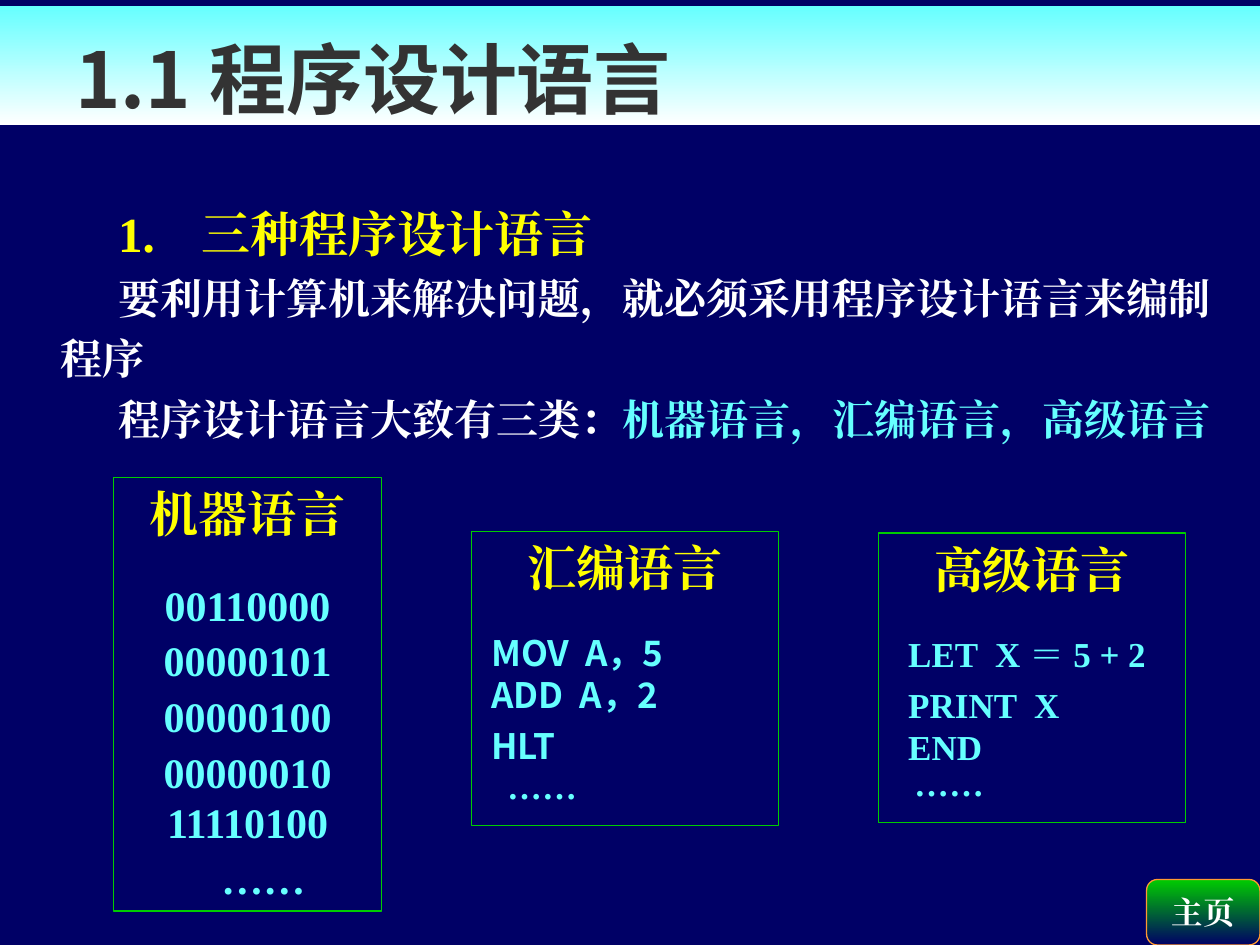
import pptx
import pptx.dml.color
import pptx.enum.shapes
import pptx.enum.text
import pptx.oxml.ns
import pptx.util
from lxml import etree

Inches = pptx.util.Inches
Pt = pptx.util.Pt
RGBColor = pptx.dml.color.RGBColor
Shape = pptx.enum.shapes.MSO_SHAPE
Align = pptx.enum.text.PP_ALIGN
Anchor = pptx.enum.text.MSO_ANCHOR
qn = pptx.oxml.ns.qn

NAVY = RGBColor(0x00, 0x00, 0x66)
GREEN = RGBColor(0x00, 0xCC, 0x00)
ORANGE = RGBColor(0xFF, 0x99, 0x33)
CYAN = RGBColor(0x66, 0xFF, 0xFF)
YELLOW = RGBColor(0xFF, 0xFF, 0x00)
WHITE = RGBColor(0xFF, 0xFF, 0xFF)
CHARCOAL = RGBColor(0x33, 0x33, 0x33)

SERIF = "Times New Roman"
SANS = "Noto Sans CJK SC"
TITLE_FACE = "Noto Sans CJK JP"


class Lesson:
    def __init__(self, deck):
        self.page = deck.slides.add_slide(deck.slide_layouts[6])
        self.page.background.fill.solid()
        self.page.background.fill.fore_color.rgb = NAVY

    def style(self, font, size, color, face=SERIF):
        font.size = Pt(size)
        font.bold = True
        font.color.rgb = color
        font.name = face
        etree.SubElement(font._element, qn("a:ea")).set("typeface", face)

    def indent(self, para, left, first=0):
        properties = para._p.get_or_add_pPr()
        properties.set("marL", str(Inches(left)))
        properties.set("indent", str(Inches(first)))

    def tab(self, para, position):
        stops = etree.SubElement(para._p.get_or_add_pPr(), qn("a:tabLst"))
        etree.SubElement(stops, qn("a:tab"), pos=str(Inches(position)), algn="l")

    def shape(self, kind, left, top, width, height, gradient=None, line=None):
        box = self.page.shapes.add_shape(
            kind, Inches(left), Inches(top), Inches(width), Inches(height))
        box.shadow.inherit = False
        if gradient:
            box.fill.gradient()
            box.fill.gradient_angle = 270
            for stop, color in zip(box.fill.gradient_stops, gradient):
                stop.color.rgb = color
        else:
            box.fill.background()
        if line:
            box.line.color.rgb = line
            box.line.width = Pt(0.75)
        else:
            box.line.fill.background()
        return box

    def title(self, text):
        box = self.shape(Shape.RECTANGLE, 0, 0.05, 10, 0.94, (CYAN, WHITE))
        frame = box.text_frame
        frame.vertical_anchor = Anchor.BOTTOM
        frame.margin_left = Inches(0.6)
        frame.margin_bottom = Inches(0.01)
        para = frame.paragraphs[0]
        para.text = text
        para.alignment = Align.LEFT
        self.style(para.font, 44, CHARCOAL, TITLE_FACE)

    def button(self, text):
        box = self.shape(Shape.ROUNDED_RECTANGLE, 9.1, 6.98, 0.9, 0.52,
                         (GREEN, NAVY), ORANGE)
        box.text_frame.word_wrap = False
        box.text_frame.vertical_anchor = Anchor.MIDDLE
        para = box.text_frame.paragraphs[0]
        para.text = text
        para.alignment = Align.CENTER
        self.style(para.font, 18, WHITE)

    def body(self, heading, sentence, lead, kinds):
        box = self.page.shapes.add_textbox(0, Inches(1.07), Inches(10), Inches(6.43))
        frame = box.text_frame
        frame.word_wrap = True
        frame.margin_top = Inches(0.45)
        para = frame.paragraphs[0]
        para.text = heading
        para.line_spacing = Pt(40.3)
        self.indent(para, 0, 0.84)
        self.tab(para, 1.42)
        self.style(para.font, 28, YELLOW)
        for spans in [((sentence, WHITE),), ((lead, WHITE), (kinds, CYAN))]:
            para = frame.add_paragraph()
            para.line_spacing = Pt(34.6)
            self.indent(para, 0.38, 0.46)
            for text, color in spans:
                span = para.add_run()
                span.text = text
                if len(spans) > 1:
                    self.style(span.font, 24, color)
            if len(spans) == 1:
                self.style(para.font, 24, spans[0][1])

    def sample(self, left, top, width, height, heading, size, align, lines):
        box = self.shape(Shape.RECTANGLE, left, top, width, height, line=GREEN)
        frame = box.text_frame
        frame.word_wrap = True
        frame.vertical_anchor = Anchor.TOP
        para = frame.paragraphs[0]
        para.text = heading
        para.alignment = Align.CENTER
        para.line_spacing = Pt(33.6)
        self.style(para.font, 28, YELLOW)
        for text, before, margin, face in lines:
            para = frame.add_paragraph()
            para.text = text
            para.alignment = align
            para.line_spacing = Pt(size * 1.2)
            para.space_before = Pt(before)
            self.indent(para, margin)
            self.style(para.font, size, CYAN, face)


def main():
    deck = pptx.Presentation()
    deck.slide_width = Inches(10)
    deck.slide_height = Inches(7.5)
    lesson = Lesson(deck)
    lesson.button("主页")
    lesson.title("1.1 程序设计语言")
    lesson.body("1.\t三种程序设计语言",
                "要利用计算机来解决问题，就必须采用程序设计语言来编制程序",
                "程序设计语言大致有三类：", "机器语言，汇编语言，高级语言")
    lesson.sample(0.9, 3.79, 2.13, 3.44, "机器语言", 24, Align.CENTER, [
        ("00110000", 21, 0, SERIF),
        ("00000101", 3, 0, SERIF),
        ("00000100", 3, 0, SERIF),
        ("00000010 11110100", 3, 0, SERIF),
        ("……", 3, 0.25, SERIF)])
    lesson.sample(3.74, 4.22, 2.44, 2.33, "汇编语言", 20, Align.LEFT, [
        ("MOV  A，5\vADD  A，2", 20, 0.06, SANS),
        ("HLT", 5, 0.06, SANS),
        ("……", 5, 0.19, SANS)])
    lesson.sample(6.97, 4.23, 2.44, 2.3, "高级语言", 20, Align.LEFT, [
        ("LET  X ＝ 5 + 2", 20, 0.14, SERIF),
        ("PRINT  X\vEND", 5, 0.14, SERIF),
        ("……", 2.5, 0.19, SANS)])
    deck.save("out.pptx")


if __name__ == "__main__":
    main()
